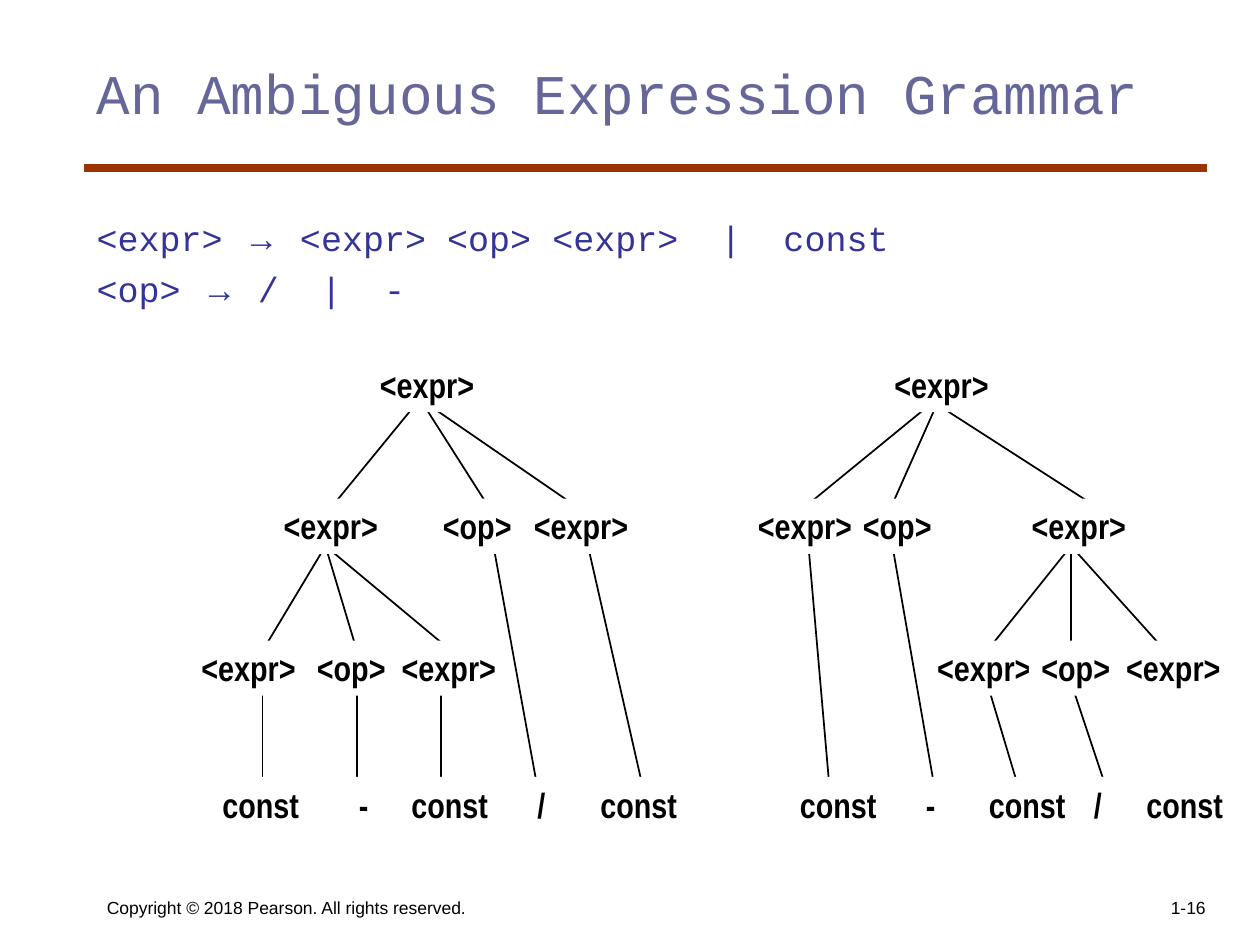
from lxml.etree import SubElement
from pptx import Presentation
from pptx.dml.color import RGBColor
from pptx.enum.shapes import MSO_CONNECTOR, MSO_SHAPE
from pptx.enum.text import MSO_ANCHOR, MSO_AUTO_SIZE, PP_ALIGN
from pptx.oxml.ns import qn
from pptx.util import Pt

BLACK = RGBColor(0x00, 0x00, 0x00)
WHITE = RGBColor(0xFF, 0xFF, 0xFF)
RUST = RGBColor(0x99, 0x33, 0x00)
SLATE = RGBColor(0x66, 0x66, 0x99)
INDIGO = RGBColor(0x33, 0x33, 0x99)
MONO, SANS, NARROW = "Courier New", "Arial", "Arial Narrow"

TITLE = "An Ambiguous Expression Grammar"
# Left and right side of each production
GRAMMAR = [
    ("<expr> ", " <expr> <op> <expr>  |  const"),
    ("<op> ", " /  |  -"),
]
# Text, left, width, alignment
FOOTERS = [
    ("Copyright © 2018 Pearson. All rights reserved.", 54, 330, PP_ALIGN.LEFT),
    ("1-16", 546, 150, PP_ALIGN.RIGHT),
]

# Both parse trees: start of the branches, then their ends
BRANCHES = [
    ((240, 228), [(186, 294), (336, 294), (282, 294)]),
    ((186, 312), [(150, 372), (258, 372), (204, 372)]),
    ((150, 390), [(150, 450)]),
    ((204, 390), [(204, 450)]),
    ((252, 390), [(252, 450)]),
    ((282, 312), [(306, 444)]),
    ((336, 312), [(366, 444)]),
    ((528, 234), [(462, 288)]),
    ((540, 234), [(624, 288)]),
    ((534, 234), [(510, 288)]),
    ((612, 312), [(564, 372), (666, 372), (612, 372)]),
    ((462, 312), [(474, 450)]),
    ((510, 312), [(534, 450)]),
    ((564, 390), [(582, 450)]),
    ((612, 390), [(630, 444)]),
]
LEVEL_TOPS = [204, 285, 366, 444]
NODE_HEIGHT = 31.5
# Symbol, width, then the left edges on each level it occurs on
NODES = [
    ("<expr>", 69, {0: [210, 504], 1: [155, 298, 426, 582.5],
                    2: [108, 222.5, 528.5, 636.5]}),
    ("<op>", 54, {1: [246, 486], 2: [174, 588]}),
    ("const", 59, {3: [120, 228, 336, 450, 558, 648]}),
    ("-", 20, {3: [198, 522]}),
    ("/", 19, {3: [300, 618]}),
]


def place(shape, left, top, width, height):
    shape.left, shape.top = Pt(left), Pt(top)
    shape.width, shape.height = Pt(width), Pt(height)


def add_run(paragraph, text, font, size, color, bold=False):
    run = paragraph.add_run()
    run.text = text
    run.font.name, run.font.size, run.font.bold = font, Pt(size), bold
    run.font.color.rgb = color


def add_line(slide, start, end, color, weight):
    line = slide.shapes.add_connector(
        MSO_CONNECTOR.STRAIGHT, *(Pt(v) for v in (*start, *end)))
    line.line.color.rgb = color
    line.line.width = Pt(weight)
    SubElement(line._element.spPr, qn("a:effectLst"))


def fill_title(slide):
    title = slide.shapes.title
    place(title, 48, 30, 642, 90)
    frame = title.text_frame
    frame.vertical_anchor = MSO_ANCHOR.TOP
    frame.auto_size = MSO_AUTO_SIZE.NONE
    paragraph = frame.paragraphs[0]
    paragraph.alignment = PP_ALIGN.LEFT
    add_run(paragraph, TITLE, MONO, 32, SLATE)


def fill_grammar(slide):
    body = slide.placeholders[1]
    place(body, 48, 120, 588, 372)
    frame = body.text_frame
    frame.vertical_anchor = MSO_ANCHOR.TOP
    frame.auto_size = MSO_AUTO_SIZE.NONE
    for i, (symbol, expansion) in enumerate(GRAMMAR):
        paragraph = frame.add_paragraph() if i else frame.paragraphs[0]
        properties = paragraph._p.get_or_add_pPr()
        properties.set("marL", str(Pt(27)))
        properties.set("indent", str(Pt(-27)))
        SubElement(properties, qn("a:buNone"))
        paragraph.space_before = Pt(5 if i else 0)
        for text, font in ((symbol, MONO), ("→", SANS), (expansion, MONO)):
            add_run(paragraph, text, font, 20, INDIGO)


def add_footer(slide, text, left, width, alignment):
    frame = slide.shapes.add_textbox(
        Pt(left), Pt(492), Pt(width), Pt(36)).text_frame
    frame.word_wrap = True
    frame.vertical_anchor = MSO_ANCHOR.BOTTOM
    paragraph = frame.paragraphs[0]
    paragraph.alignment = alignment
    add_run(paragraph, text, SANS, 10, BLACK)


def add_node(slide, symbol, left, top, width):
    node = slide.shapes.add_shape(
        MSO_SHAPE.RECTANGLE, Pt(left), Pt(top), Pt(width), Pt(NODE_HEIGHT))
    node.shadow.inherit = False
    node.fill.solid()
    node.fill.fore_color.rgb = WHITE
    node.line.fill.background()
    frame = node.text_frame
    frame.word_wrap = False
    frame.auto_size = MSO_AUTO_SIZE.SHAPE_TO_FIT_TEXT
    frame.vertical_anchor = MSO_ANCHOR.TOP
    paragraph = frame.paragraphs[0]
    paragraph.alignment = PP_ALIGN.LEFT
    add_run(paragraph, symbol, NARROW, 20, BLACK, bold=True)


def main():
    deck = Presentation()
    deck.slide_width, deck.slide_height = Pt(720), Pt(540)
    slide = deck.slides.add_slide(deck.slide_layouts[1])

    fill_title(slide)
    fill_grammar(slide)
    add_line(slide, (48, 96), (690, 96), RUST, 4.5)
    for footer in FOOTERS:
        add_footer(slide, *footer)

    for start, ends in BRANCHES:
        for end in ends:
            add_line(slide, start, end, BLACK, 1)
    for symbol, width, levels in NODES:
        for level, lefts in levels.items():
            for left in lefts:
                add_node(slide, symbol, left, LEVEL_TOPS[level], width)

    deck.save("out.pptx")


if __name__ == "__main__":
    main()
